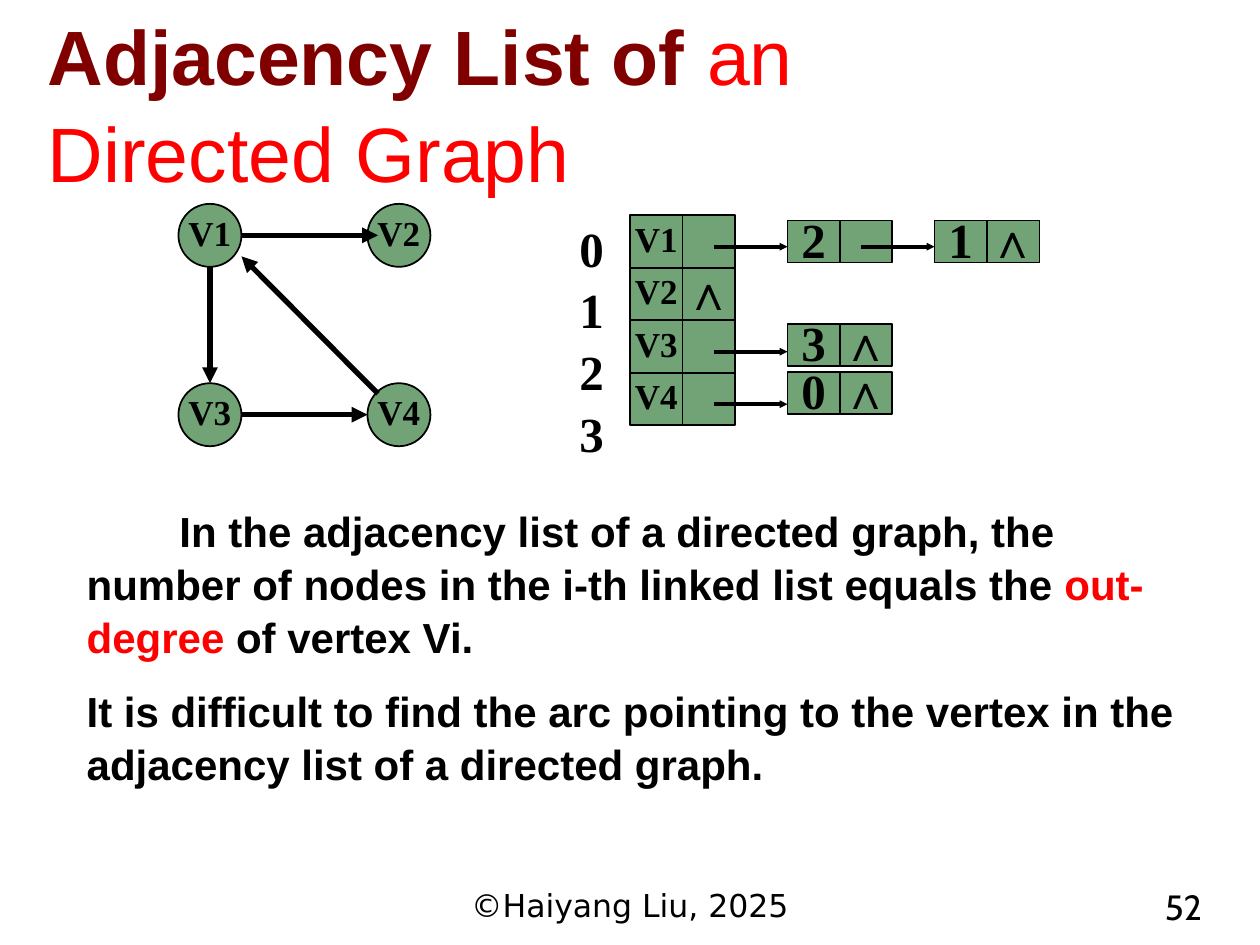
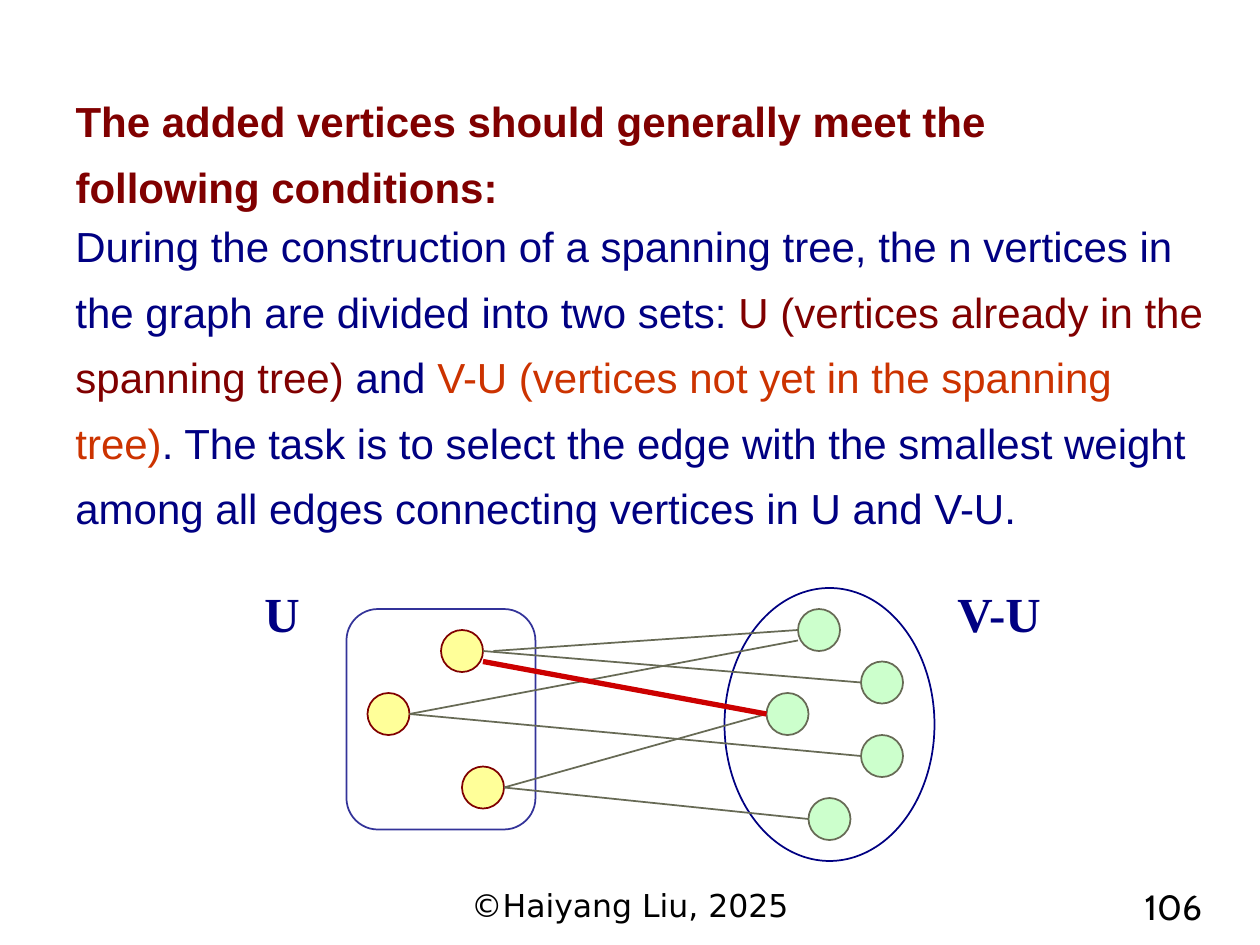
from dataclasses import dataclass

from lxml.etree import SubElement
from pptx import Presentation
from pptx.dml.color import RGBColor
from pptx.enum.shapes import MSO_CONNECTOR, MSO_SHAPE
from pptx.enum.text import MSO_ANCHOR, MSO_AUTO_SIZE, PP_ALIGN
from pptx.oxml.ns import qn
from pptx.util import Pt

HUES = {
    "black": "000000", "green": "72A376", "red": "FF0000", "maroon": "800000",
    "navy": "000082", "rust": "CC3300", "indigo": "333399", "yellow": "FFFF99",
    "mint": "CCFFCC", "olive": "676A55", "crimson": "CC0000",
}
SANS, SERIF = "Arial", "Times New Roman"
WIDE = (7.2, 3.6, 7.2, 3.6)
TIGHT = (7.2, 0, 7.2, 3.6)
NODE, CELL, DOT = 36, 30, 24


@dataclass
class Box:
    x: float
    y: float
    w: float
    h: float


@dataclass
class Link:
    x1: float
    y1: float
    x2: float
    y2: float
    hue: str = "black"
    width: float = 1
    head: str = ""


@dataclass
class Entry:
    x: float
    y: float
    index: str
    end: str = "∧"


@dataclass
class Vertex:
    x: float
    y: float
    name: str


@dataclass
class Span:
    text: str
    hue: str
    bold: bool = False


def tint(name: str) -> RGBColor:
    return RGBColor.from_string(HUES[name])


def write(frame, *paras, font=SANS, size=24, hue="black", bold=False,
          align=PP_ALIGN.LEFT, anchor=MSO_ANCHOR.TOP, pads=WIDE, wrap=True,
          lead=1.0, gap=0, indent=0):
    frame.auto_size = MSO_AUTO_SIZE.NONE
    frame.word_wrap = wrap
    frame.vertical_anchor = anchor
    (frame.margin_left, frame.margin_top,
     frame.margin_right, frame.margin_bottom) = map(Pt, pads)
    for i, spans in enumerate(paras):
        para = frame.add_paragraph() if i else frame.paragraphs[0]
        para.alignment = align
        para.line_spacing = lead
        para.space_before = Pt(gap if i else 0)
        if indent and not i:
            props = para._p.get_or_add_pPr()
            props.set("marL", "0")
            props.set("indent", str(Pt(indent)))
        if isinstance(spans, str):
            spans = [Span(spans, hue, bold)]
        for span in spans:
            run = para.add_run()
            run.text = span.text
            run.font.name = font
            run.font.size = Pt(size)
            run.font.bold = span.bold
            run.font.color.rgb = tint(span.hue)


def label(slide, box: Box, *paras, **style):
    area = slide.shapes.add_textbox(Pt(box.x), Pt(box.y), Pt(box.w), Pt(box.h))
    write(area.text_frame, *paras, **style)


def head(slide, box: Box, spans, **style):
    title = slide.shapes.title
    title.left, title.top = Pt(box.x), Pt(box.y)
    title.width, title.height = Pt(box.w), Pt(box.h)
    write(title.text_frame, spans, **style)


def shape(slide, kind, box: Box, fill="", line="black", text="", size=20):
    item = slide.shapes.add_shape(kind, Pt(box.x), Pt(box.y), Pt(box.w), Pt(box.h))
    item.shadow.inherit = False
    if fill:
        item.fill.solid()
        item.fill.fore_color.rgb = tint(fill)
    else:
        item.fill.background()
    item.line.color.rgb = tint(line)
    item.line.width = Pt(1)
    if text:
        write(item.text_frame, text, font=SERIF, size=size, bold=True,
              align=PP_ALIGN.CENTER, anchor=MSO_ANCHOR.MIDDLE, pads=TIGHT, wrap=False)
    return item


def join(slide, link: Link):
    line = slide.shapes.add_connector(
        MSO_CONNECTOR.STRAIGHT, Pt(link.x1), Pt(link.y1), Pt(link.x2), Pt(link.y2))
    line.line.color.rgb = tint(link.hue)
    line.line.width = Pt(link.width)
    if link.head:
        SubElement(line.line._get_or_add_ln(), qn("a:tailEnd"),
                   type="triangle", w=link.head, len=link.head)
    SubElement(line._element.spPr, qn("a:effectLst"))


def foot(slide, page: str):
    label(slide, Box(246, 502.5, 228, 28), "©Haiyang Liu, 2025",
          font="DejaVu Sans", size=18, align=PP_ALIGN.CENTER)
    label(slide, Box(584, 502.5, 110, 28), page,
          font="Cabin", size=20, align=PP_ALIGN.RIGHT)


def cell(slide, x: float, y: float, high: float, text: str = "", size: int = 28):
    shape(slide, MSO_SHAPE.RECTANGLE, Box(x, y, CELL, high), "green", text=text, size=size)


def lists(slide):
    left, top = 360, 123
    for entry in (Entry(450, 126, "2", ""), Entry(534, 126, "1"),
                  Entry(450, 185, "3"), Entry(450, 212.5, "0")):
        cell(slide, entry.x, entry.y, 24, entry.index)
        cell(slide, entry.x + CELL, entry.y, 24, entry.end)
    for row, end in enumerate(("", "∧", "", "")):
        y = top + row * CELL
        cell(slide, left, y, CELL, f"V{row + 1}", 20)
        cell(slide, left + CELL, y, CELL, end)
    label(slide, Box(324, top, CELL, 119), *"0123", font=SERIF, size=28,
          bold=True, pads=TIGHT, lead=1.05)
    for x, row in ((408, 0), (408, 2), (408, 3), (492, 0)):
        y = top + row * CELL + 18
        join(slide, Link(x, y, x + 42, y, width=2.25, head="sm"))


def graph(slide):
    west, east, north, south = 102, 210, 116.5, 219
    mid = NODE / 2
    for node in (Vertex(west, north, "V1"), Vertex(east, north, "V2"),
                 Vertex(west, south, "V3"), Vertex(east, south, "V4")):
        shape(slide, MSO_SHAPE.OVAL, Box(node.x, node.y, NODE, NODE), "green", text=node.name)
    for ends in (
        (west + mid, north + NODE, west + mid, south),
        (west + NODE, north + mid, east + 6, north + mid),
        (west + NODE, south + mid, east, south + mid),
        (east + 6, south + 6, west + NODE, north + CELL),
    ):
        join(slide, Link(*ends, width=3, head="med"))


def directed(slide):
    head(slide, Box(20, -1.5, 599, 114),
         [Span("Adjacency List of", "maroon", True), Span(" an Directed Graph", "red")],
         size=44, lead=1.05)
    lists(slide)
    graph(slide)
    label(slide, Box(42.5, 287.5, 648, 163),
          [Span("In the adjacency list of a directed graph, the number of nodes "
                "in the i-th linked list equals the ", "black", True),
           Span("out-degree", "red", True), Span(" of vertex Vi.", "black", True)],
          "It is difficult to find the arc pointing to the vertex in the "
          "adjacency list of a directed graph.",
          bold=True, pads=TIGHT, lead=1.05, gap=12, indent=53)
    foot(slide, "52")


def spanning(slide):
    label(slide, Box(36, 114, 660, 189),
          [Span("During the construction of a spanning tree, the n vertices in "
                "the graph are divided into two sets: ", "navy"),
           Span("U (vertices already in the spanning tree)", "maroon"),
           Span(" and ", "navy"),
           Span("V-U (vertices not yet in the spanning tree)", "rust"),
           Span(". The task is to select the edge with the smallest weight among "
                "all edges connecting vertices in U and V-U.", "navy")],
          lead=1.3)
    head(slide, Box(36, 42.5, 626, 80),
         "The added vertices should generally meet the following conditions:",
         hue="maroon", bold=True, lead=1.3)
    shape(slide, MSO_SHAPE.ROUNDED_RECTANGLE, Box(198, 348, 108, 126), line="indigo")
    shape(slide, MSO_SHAPE.OVAL, Box(414, 336, 120, 156), line="navy")
    inner = ((252, 360), (210, 396), (264, 438))
    outer = ((456, 348), (492, 378), (462, 456), (438, 396), (492, 420))
    for spots, fill, line in ((inner, "yellow", "maroon"), (outer, "mint", "olive")):
        for x, y in spots:
            shape(slide, MSO_SHAPE.OVAL, Box(x, y, DOT, DOT), fill, line)
    for ends in ((282, 372, 456, 360), (234, 408, 492, 432), (288, 450, 462, 468),
                 (288, 450, 438, 408), (276, 372, 492, 390), (234, 408, 456, 366)):
        join(slide, Link(*ends, hue="olive"))
    join(slide, Link(276, 378, 438, 408, "crimson", 3))
    for x, w, name in ((144, 34.5, "U"), (540, 62, "V-U")):
        label(slide, Box(x, 330, w, 41), name, font=SERIF, size=28,
              hue="navy", bold=True, wrap=False)
    foot(slide, "106")


def main():
    deck = Presentation()
    deck.slide_width, deck.slide_height = Pt(720), Pt(540)
    for build in (directed, spanning):
        build(deck.slides.add_slide(deck.slide_layouts[5]))
    deck.save("out.pptx")


if __name__ == "__main__":
    main()
